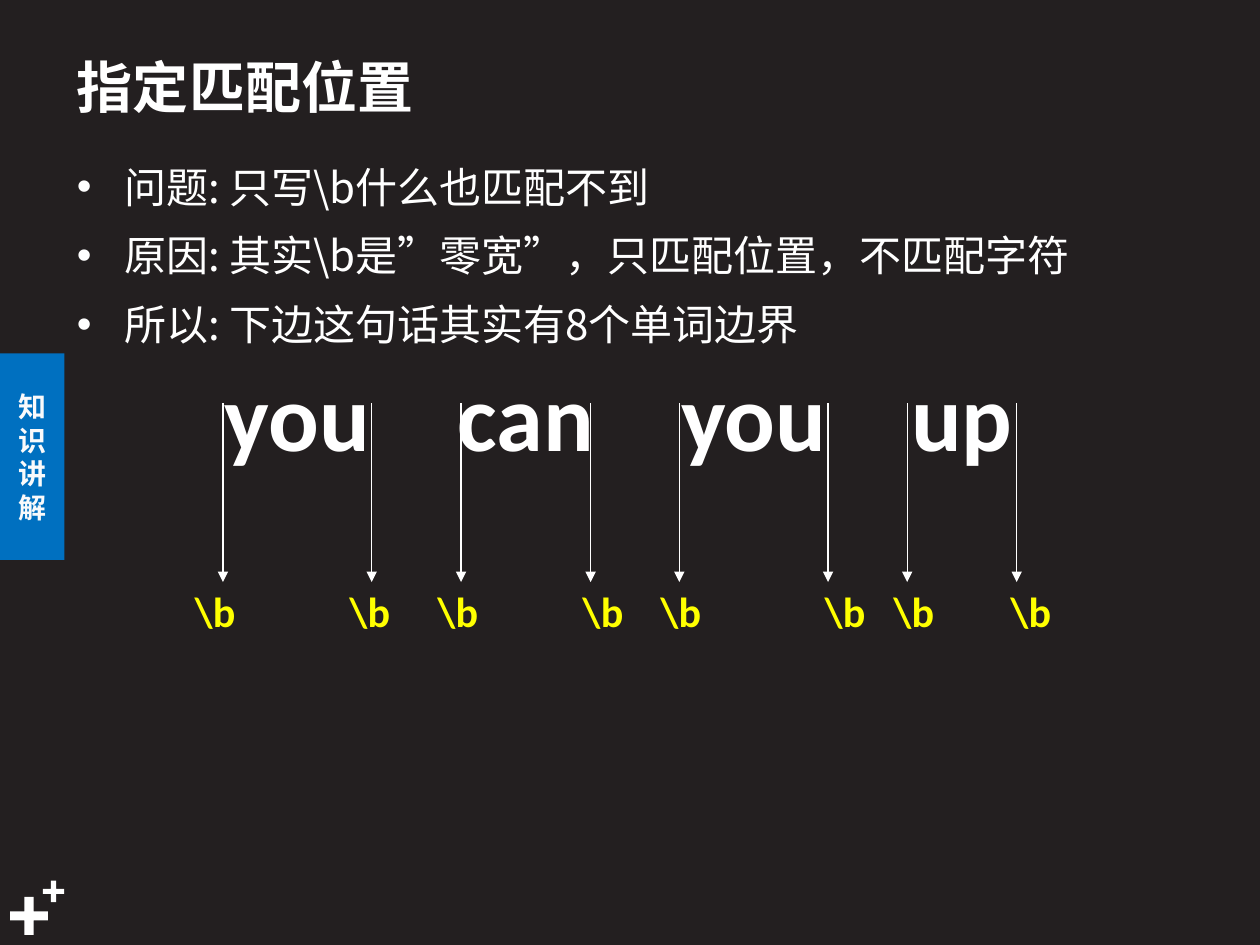
"""Build the slide that explains word boundaries in regular expressions."""
from dataclasses import dataclass

from lxml.etree import SubElement
from pptx import Presentation
from pptx.dml.color import RGBColor
from pptx.enum.shapes import MSO_CONNECTOR, MSO_SHAPE
from pptx.enum.text import MSO_ANCHOR, PP_ALIGN
from pptx.oxml.ns import qn
from pptx.util import Pt

CJK = "Noto Sans CJK SC"
LATIN = "Calibri"
WHITE = "FFFFFF"
ARROW_TOP, ARROW_BOTTOM = 230.4, 332.6
WORD_TOP, LABEL_TOP = 203.8, 334.5


@dataclass
class Word:
    """A word with the x of its two boundaries and of their labels."""
    text: str
    edges: tuple[float, float]
    labels: tuple[float, float]


@dataclass
class Plus:
    """A corner plus sign."""
    left: float
    top: float
    size: float


WORDS = [
    Word("you", (127.4, 212.4), (122.9, 211.4)),
    Word("can", (263.5, 337.5), (261.7, 344.6)),
    Word("you", (388.2, 473.2), (389.1, 482.9)),
    Word("up", (518.4, 581), (522.3, 589.1)),
]
PLUSES = [Plus(5.8, 512.6, 21.6), Plus(24.5, 503.3, 12.2)]
POINTS = [
    "问题: 只写\\b什么也匹配不到",
    "原因: 其实\\b是”零宽”，只匹配位置，不匹配字符",
    "所以: 下边这句话其实有8个单词边界",
]


def rgb(value: str) -> RGBColor:
    """Turn a hex string into a colour."""
    return RGBColor.from_string(value)


def add_run(p, text: str, size: float, color: str = WHITE,
            font: str = CJK, bold: bool = False) -> None:
    """Add one formatted run to a paragraph."""
    r = p.add_run()
    r.text = text
    r.font.size = Pt(size)
    r.font.bold = bold
    r.font.name = font
    r.font.color.rgb = rgb(color)
    SubElement(r._r.get_or_add_rPr(), qn("a:ea"), typeface=font)


def add_block(s, kind, left: float, top: float, width: float,
              height: float, fill: str):
    """Add a plain filled shape."""
    sp = s.shapes.add_shape(kind, Pt(left), Pt(top), Pt(width), Pt(height))
    sp.shadow.inherit = False
    sp.fill.solid()
    sp.fill.fore_color.rgb = rgb(fill)
    sp.line.fill.background()
    return sp


def add_plus(s, plus: Plus) -> None:
    """Draw a corner plus sign."""
    sp = add_block(s, MSO_SHAPE.CROSS, plus.left, plus.top,
                   plus.size, plus.size, WHITE)
    sp.adjustments[0] = 0.38


def add_side_tab(s) -> None:
    """Draw the blue section tab on the left edge."""
    sp = add_block(s, MSO_SHAPE.RECTANGLE, 0, 202, 36.8, 118, "0070C0")
    tf = sp.text_frame
    tf.word_wrap = True
    tf.vertical_anchor = MSO_ANCHOR.MIDDLE
    p = tf.paragraphs[0]
    p.alignment = PP_ALIGN.CENTER
    add_run(p, "知识讲解", 16, "F9FAFB", bold=True)


def add_title(s, text: str) -> None:
    """Place and fill the title placeholder."""
    sp = s.shapes.title
    sp.left, sp.top, sp.width, sp.height = Pt(36.8), Pt(21), Pt(533), Pt(56)
    tf = sp.text_frame
    tf.vertical_anchor = MSO_ANCHOR.MIDDLE
    p = tf.paragraphs[0]
    p.alignment = PP_ALIGN.LEFT
    add_run(p, text, 32, bold=True)


def add_bullets(s, points: list[str]) -> None:
    """Add the bulleted explanation."""
    sp = s.shapes.add_textbox(Pt(36.8), Pt(82.8), Pt(635), Pt(128))
    tf = sp.text_frame
    tf.word_wrap = True
    for i, text in enumerate(points):
        p = tf.add_paragraph() if i else tf.paragraphs[0]
        p.line_spacing = 1.2
        p.space_before = Pt(4.8)
        props = p._p.get_or_add_pPr()
        props.set("marL", str(Pt(27)))
        props.set("indent", str(-Pt(27)))
        SubElement(props, qn("a:buFont"), typeface="Arial")
        SubElement(props, qn("a:buChar"), char="•")
        add_run(p, text, 24)


def add_centred(s, text: str, center: float, top: float, width: float,
                size: float, color: str) -> None:
    """Add bold text centred on an x position."""
    sp = s.shapes.add_textbox(Pt(center - width / 2), Pt(top),
                              Pt(width), Pt(size * 1.22))
    tf = sp.text_frame
    tf.word_wrap = True
    tf.margin_left = tf.margin_right = tf.margin_top = tf.margin_bottom = 0
    p = tf.paragraphs[0]
    p.alignment = PP_ALIGN.CENTER
    add_run(p, text, size, color, LATIN, True)


def add_arrow(s, x: float) -> None:
    """Draw one boundary arrow pointing down."""
    line = s.shapes.add_connector(MSO_CONNECTOR.STRAIGHT, Pt(x),
                                  Pt(ARROW_TOP), Pt(x), Pt(ARROW_BOTTOM))
    line.line.color.rgb = rgb(WHITE)
    line.line.width = Pt(0.75)
    SubElement(line.line._get_or_add_ln(), qn("a:tailEnd"), type="triangle")
    SubElement(line._element.spPr, qn("a:effectLst"))


def add_word(s, word: Word) -> None:
    """Draw a word with its boundary arrows and labels."""
    add_centred(s, word.text, sum(word.edges) / 2, WORD_TOP, 110, 54, WHITE)
    for edge, label in zip(word.edges, word.labels):
        add_arrow(s, edge)
        add_centred(s, "\\b", label, LABEL_TOP, 36, 24, "FFFF00")


def main() -> None:
    """Build and save the slide."""
    prs = Presentation()
    prs.slide_width, prs.slide_height = Pt(720), Pt(540)
    s = prs.slides.add_slide(prs.slide_layouts[5])
    s.background.fill.solid()
    s.background.fill.fore_color.rgb = rgb("231F20")
    for plus in PLUSES:
        add_plus(s, plus)
    add_side_tab(s)
    add_title(s, "指定匹配位置")
    add_bullets(s, POINTS)
    for word in WORDS:
        add_word(s, word)
    prs.save("out.pptx")


if __name__ == "__main__":
    main()
